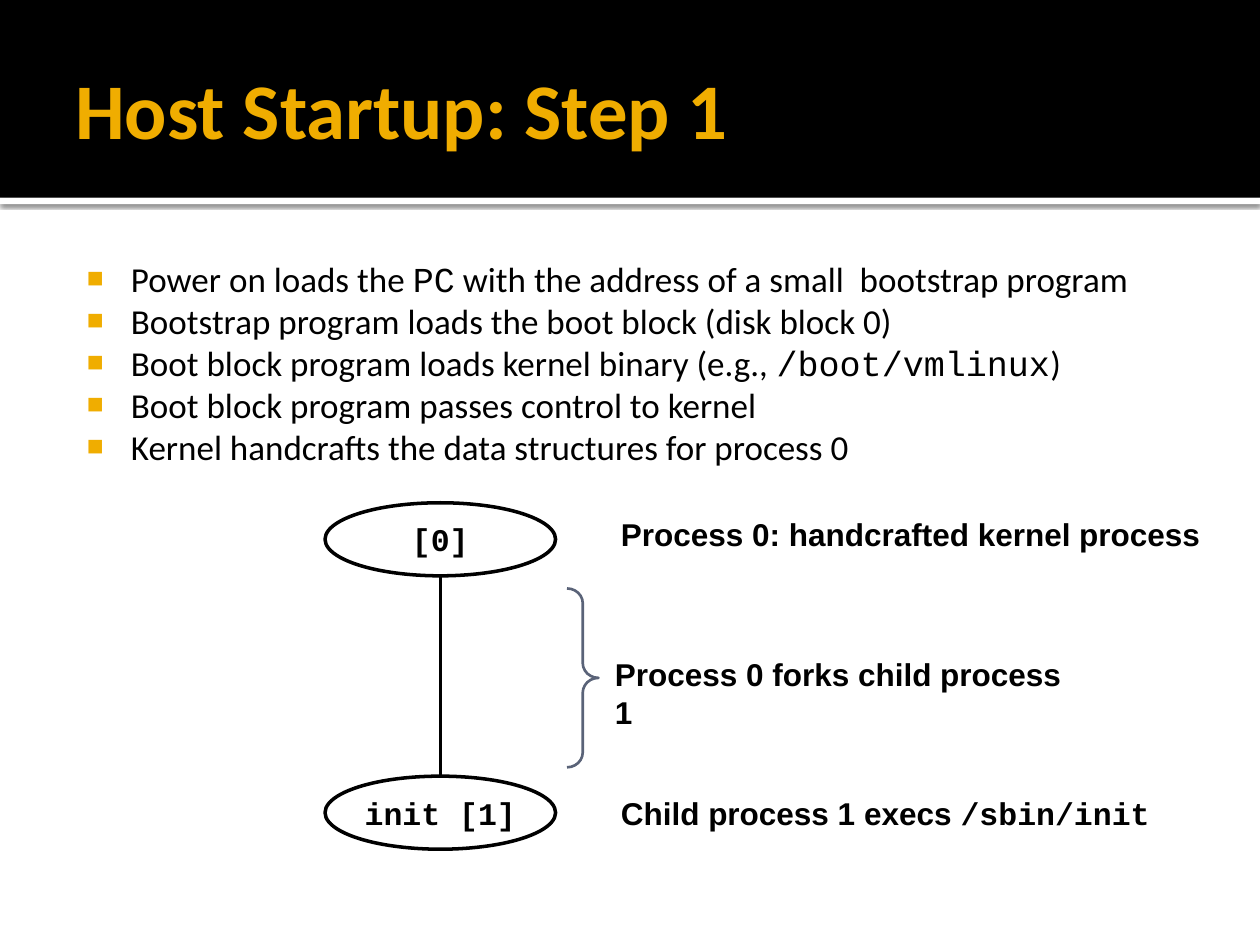
"""Builds the slide "Host Startup: Step 1" with python-pptx."""
from lxml import etree
from pptx import Presentation
from pptx.dml.color import RGBColor
from pptx.enum import shapes, text
from pptx.oxml import parse_xml
from pptx.oxml.ns import nsdecls, qn
from pptx.util import Inches, Pt

COLORS = {"black": "000000", "white": "FFFFFF", "gold": "F0AD00", "slate": "5A6378"}
SANS, BODY, MONO = "Arial", "Calibri", "Courier New"

TITLE = "Host Startup: Step 1"
STEPS = [
    [("Power on loads the ", BODY), ("PC", MONO),
     (" with the address of a small  bootstrap program", BODY)],
    [("Bootstrap program loads the boot block (disk block 0)", BODY)],
    [("Boot block program loads kernel binary (e.g., ", BODY),
     ("/boot/vmlinux", MONO), (")", BODY)],
    [("Boot block program passes control to kernel", BODY)],
    [("Kernel handcrafts the data structures for process 0", BODY)],
]
PROCESSES = [("[0]", 3.99), ("init [1]", 6.16)]
NODE_LEFT, NODE_WIDTH, NODE_HEIGHT = 2.58, 1.83, 0.58
NOTES = [
    ([("Process 0: handcrafted kernel process", SANS)], (4.83, 4.04, 4.8, 0.4), (0.1, 0.05)),
    ([("Process 0 forks child process 1", SANS)], (4.83, 5.15, 3.85, 0.37), (0.05, 0.05)),
    ([("Child process 1 execs ", SANS), ("/sbin/init", MONO)],
     (4.83, 6.25, 4.4, 0.4), (0.1, 0.05)),
]


def rgb(name):
    return RGBColor.from_string(COLORS[name])


def add_shape(slide, kind, box, fill=None, line=None, width=2):
    shape = slide.shapes.add_shape(kind, *map(Inches, box))
    shape.shadow.inherit = False
    if fill:
        shape.fill.solid()
        shape.fill.fore_color.rgb = rgb(fill)
    else:
        shape.fill.background()
    if line:
        shape.line.color.rgb = rgb(line)
        shape.line.width = Pt(width)
    else:
        shape.line.fill.background()
    return shape


def add_frame(slide, box, insets, wrap=True):
    frame = slide.shapes.add_textbox(*map(Inches, box)).text_frame
    frame.word_wrap = wrap
    frame.margin_left, frame.margin_top = map(Inches, insets)
    return frame


def write(paragraph, runs, size, color="black", bold=False):
    font = paragraph.font
    font.size, font.bold, font.color.rgb = Pt(size), bold, rgb(color)
    if len(runs) == 1:
        font.name = runs[0][1]
    for words, face in runs:
        run = paragraph.add_run()
        run.text = words
        if len(runs) > 1:
            run.font.name = face


def add_bullet(paragraph):
    props = paragraph._p.get_or_add_pPr()
    props.set("marL", str(Inches(0.48)))
    props.set("indent", str(Inches(-0.35)))
    color = etree.SubElement(props, qn("a:buClr"))
    etree.SubElement(color, qn("a:srgbClr"), val=COLORS["gold"])
    etree.SubElement(props, qn("a:buSzPct"), val="80000")
    etree.SubElement(props, qn("a:buFont"), typeface=SANS)
    etree.SubElement(props, qn("a:buChar"), char="■")


def add_header(slide):
    rule = add_shape(slide, shapes.MSO_SHAPE.RECTANGLE, (0, 1.57, 10, 0.05), "white")
    rule._element.spPr.find(qn("a:effectLst")).append(parse_xml(
        f'<a:outerShdw {nsdecls("a")} blurRad="{Pt(2.5)}" dist="{Pt(0.8)}" dir="5400000" '
        f'rotWithShape="0"><a:srgbClr val="{COLORS["black"]}"><a:alpha val="60000"/>'
        '</a:srgbClr></a:outerShdw>'))
    add_shape(slide, shapes.MSO_SHAPE.RECTANGLE, (0, 0, 10, 1.57), "black")
    title = add_frame(slide, (0.5, 0.17, 9, 1.37), (0.1, 0.05))
    title.vertical_anchor = text.MSO_ANCHOR.MIDDLE
    write(title.paragraphs[0], [(TITLE, BODY)], 45, "gold", True)


def add_steps(slide):
    frame = add_frame(slide, (0.5, 1.94, 9, 1.89), (0.06, 0.1))
    for index, runs in enumerate(STEPS):
        paragraph = frame.add_paragraph() if index else frame.paragraphs[0]
        add_bullet(paragraph)
        write(paragraph, runs, 20)


def add_diagram(slide):
    for label, top in PROCESSES:
        node = add_shape(slide, shapes.MSO_SHAPE.OVAL,
                         (NODE_LEFT, top, NODE_WIDTH, NODE_HEIGHT), "white", "black")
        node.text_frame.word_wrap = False
        node.text_frame.vertical_anchor = text.MSO_ANCHOR.MIDDLE
        paragraph = node.text_frame.paragraphs[0]
        paragraph.alignment = text.PP_ALIGN.CENTER
        write(paragraph, [(label, MONO)], 18, bold=True)

    center = NODE_LEFT + NODE_WIDTH / 2
    (_, parent_top), (_, child_top) = PROCESSES
    fork = slide.shapes.add_connector(
        shapes.MSO_CONNECTOR.STRAIGHT,
        *map(Inches, (center, parent_top + NODE_HEIGHT, center, child_top)))
    fork.line.color.rgb = rgb("black")
    fork.line.width = Pt(2)
    etree.SubElement(fork._element.spPr, qn("a:effectLst"))

    brace = add_shape(slide, shapes.MSO_SHAPE.RIGHT_BRACE, (4.5, 4.67, 0.25, 1.42),
                      line="slate", width=1.5)
    brace.adjustments[0] = 0.47

    for runs, box, insets in NOTES:
        frame = add_frame(slide, box, insets, wrap=False)
        frame.auto_size = text.MSO_AUTO_SIZE.SHAPE_TO_FIT_TEXT
        write(frame.paragraphs[0], runs, 18, bold=True)


def main():
    deck = Presentation()
    deck.slide_width, deck.slide_height = Inches(10), Inches(7.5)
    slide = deck.slides.add_slide(deck.slide_layouts[6])
    add_header(slide)
    add_steps(slide)
    add_diagram(slide)
    deck.save("out.pptx")


if __name__ == "__main__":
    main()
